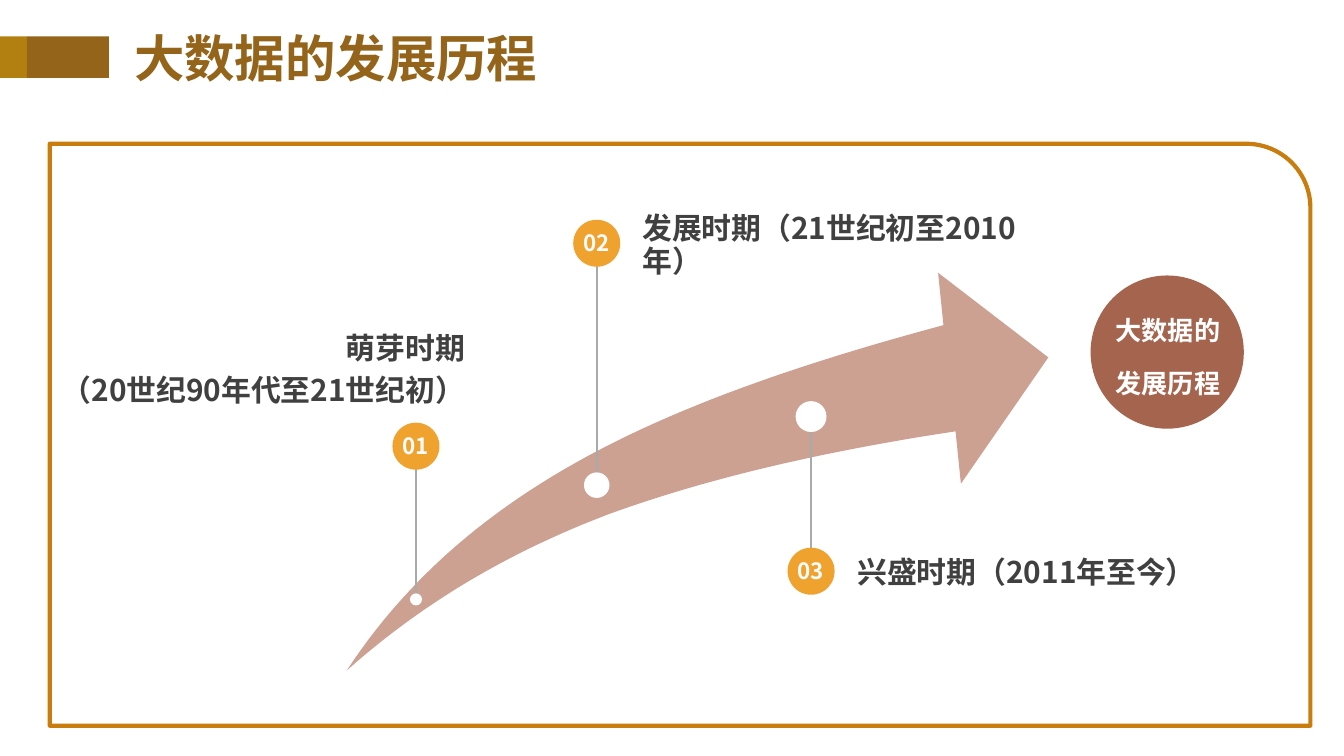
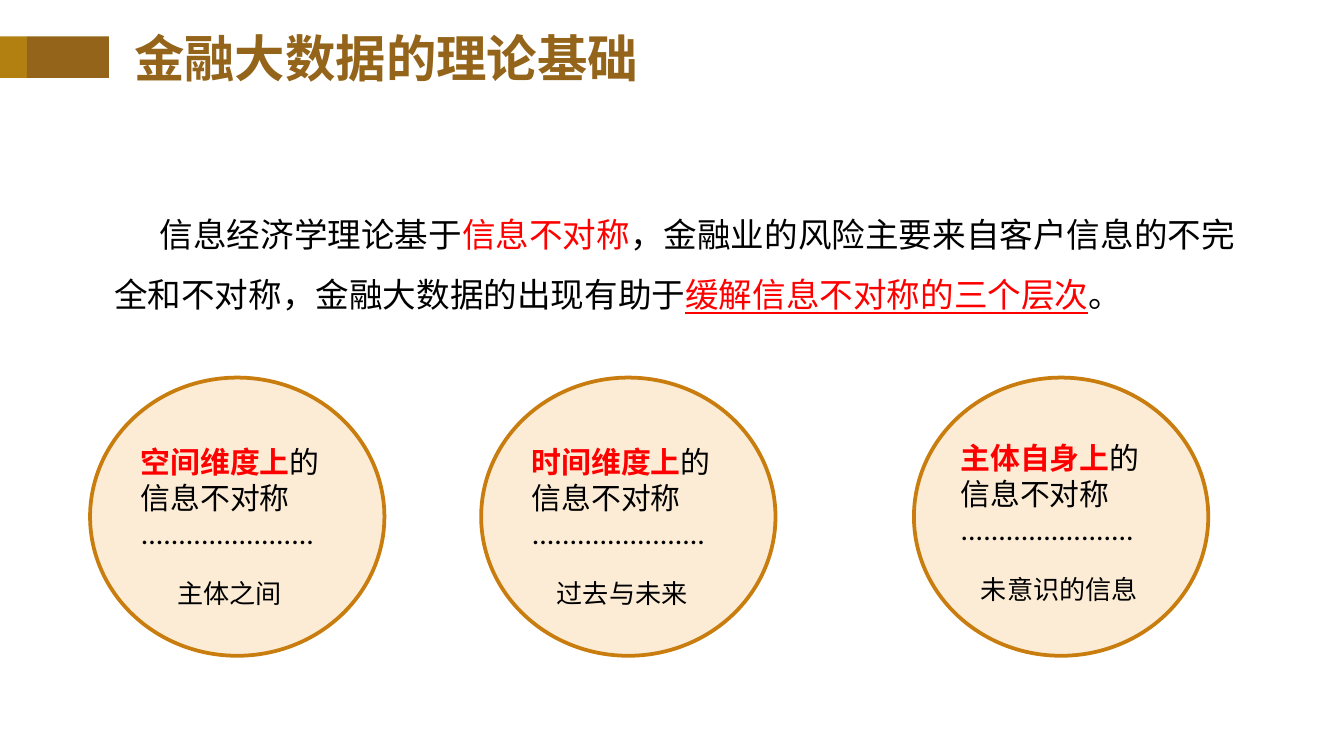
from dataclasses import dataclass

from lxml import etree
from pptx import Presentation
from pptx import util as u
from pptx.dml.color import RGBColor
from pptx.enum import shapes, text
from pptx.oxml.ns import qn


@dataclass(frozen=True)
class Theme:
    cjk: str = "Noto Sans CJK SC"
    latin: str = "Calibri"
    gold: str = "B28011"
    brown: str = "936419"
    frame: str = "C87D0E"
    arrow: str = "CCA192"
    rust: str = "A5644E"
    badge: str = "F0A22E"
    cream: str = "FCECD5"
    pin: str = "A6AAA9"
    ink: str = "404040"
    number: str = "FCFCFC"
    white: str = "FFFFFF"
    black: str = "000000"
    red: str = "FF0000"
    title_size: int = 27
    body_size: int = 18
    caption_size: int = 16
    goal_size: int = 14
    number_size: int = 12
    single: float = 1.2


@dataclass(frozen=True)
class Box:
    col: float
    row: float
    cols: float
    rows: float


@dataclass(frozen=True)
class Run:
    words: str
    size: float
    color: str
    bold: bool = False
    underline: bool = False
    font: str = Theme.cjk


@dataclass(frozen=True)
class Para:
    runs: tuple[Run, ...]
    pitch: float | None = None
    before: float = 0
    align: text.PP_ALIGN = text.PP_ALIGN.LEFT
    margin: float = 0
    indent: float = 0


@dataclass(frozen=True)
class Milestone:
    number: str
    col: float
    badge_row: float
    dot_row: float
    dot: float
    caption: tuple[str, ...]
    caption_box: Box
    align: text.PP_ALIGN = text.PP_ALIGN.LEFT
    spacing: float = 0.9


@dataclass(frozen=True)
class Layer:
    col: float
    text_col: float
    text_row: float
    dimension: str
    scope: str
    scope_margin: float


THEME = Theme()
WIDTH, HEIGHT = u.Inches(10), u.Inches(5.625)
COLUMNS, ROWS = 100, 56.25
BADGE = 3.5
DOTS = "." * 23
SHAPE = shapes.MSO_SHAPE

MILESTONES = (
    Milestone("01", 30.95, 33.2, 44.6, 0.9,
              ("萌芽时期", "（20世纪90年代至21世纪初）"),
              Box(1.1, 25.7, 33.5, 3.4), text.PP_ALIGN.RIGHT, 1),
    Milestone("02", 44.4, 18.1, 36.1, 1.9,
              ("发展时期（21世纪初至2010年）",), Box(47.8, 16.6, 32, 3.4)),
    Milestone("03", 60.35, 42.5, 31, 2.3,
              ("兴盛时期（2011年至今）",), Box(63.8, 41, 25.5, 3.4)),
)

LAYERS = (
    Layer(6.7, 9.5, 32.5, "空间维度上", "主体之间", 2.7),
    Layer(35.8, 38.6, 32.5, "时间维度上", "过去与未来", 1.85),
    Layer(68, 70.5, 32.2, "主体自身上", "未意识的信息", 1.5),
)

ARROW_START = (25.8, 49.9)
ARROW_EDGES = (
    ((30, 43.5), (35.6, 38.5), (42.9, 34.4)),
    ((50.2, 30.3), (59.4, 27.1), (70.2, 24.2)),
    ((69.8, 20.3),),
    ((78, 26.6),),
    ((71.5, 36),),
    ((71.1, 32.1),),
    ((61.2, 33.6), (52.6, 35.6), (45.2, 38.3)),
    ((37.6, 41.2), (31.3, 45), ARROW_START),
)


def across(cols: float) -> int:
    return round(WIDTH * cols / COLUMNS)


def down(rows: float) -> int:
    return round(HEIGHT * rows / ROWS)


def place(box: Box) -> tuple[int, int, int, int]:
    return across(box.col), down(box.row), across(box.cols), down(box.rows)


def disc(col: float, row: float, size: float) -> Box:
    return Box(col - size / 2, row - size / 2, size, size)


def paint(shape, fill: str | None, line: str | None = None, width: float = 0) -> None:
    shape.shadow.inherit = False
    if fill:
        shape.fill.solid()
        shape.fill.fore_color.rgb = RGBColor.from_string(fill)
    else:
        shape.fill.background()
    if line:
        shape.line.color.rgb = RGBColor.from_string(line)
        shape.line.width = u.Pt(width)
    else:
        shape.line.fill.background()


def add_shape(slide, kind, box: Box, fill: str | None,
              line: str | None = None, width: float = 0):
    shape = slide.shapes.add_shape(kind, *place(box))
    paint(shape, fill, line, width)
    return shape


def write(shape, paras: tuple[Para, ...], anchor=text.MSO_ANCHOR.MIDDLE,
          inset: bool = False) -> None:
    frame = shape.text_frame
    frame.word_wrap = True
    frame.vertical_anchor = anchor
    if not inset:
        frame.margin_left = frame.margin_right = 0
        frame.margin_top = frame.margin_bottom = 0
    for index, para in enumerate(paras):
        line = frame.add_paragraph() if index else frame.paragraphs[0]
        line.alignment = para.align
        if para.pitch:
            line.line_spacing = u.Pt(para.pitch)
        if para.before:
            line.space_before = u.Pt(para.before)
        if para.margin or para.indent:
            layout = line._p.get_or_add_pPr()
            layout.set("marL", str(across(para.margin)))
            layout.set("indent", str(across(para.indent)))
        for part in para.runs:
            run = line.add_run()
            run.text = part.words
            font = run.font
            font.name = part.font
            font.size = u.Pt(part.size)
            font.bold = part.bold
            font.underline = part.underline
            font.color.rgb = RGBColor.from_string(part.color)
            props = run._r.get_or_add_rPr()
            props.set("lang", "zh-CN")
            east = etree.Element(qn("a:ea"), typeface=THEME.cjk)
            props.find(qn("a:latin")).addnext(east)


def add_text(slide, box: Box, paras: tuple[Para, ...],
             anchor=text.MSO_ANCHOR.MIDDLE, inset: bool = False) -> None:
    write(slide.shapes.add_textbox(*place(box)), paras, anchor, inset)


def add_slide(deck, title: str):
    slide = deck.slides.add_slide(deck.slide_layouts[6])
    add_shape(slide, SHAPE.RECTANGLE, Box(-0.1, 2.7, 2.1, 3.1), THEME.gold)
    add_shape(slide, SHAPE.RECTANGLE, Box(2, 2.7, 6.1, 3.1), THEME.brown)
    heading = Run(title, THEME.title_size, THEME.brown, bold=True)
    add_text(slide, Box(9, 1.3, 41.8, 6), (Para((heading,)),), inset=True)
    return slide


def arrow_points(steps: int = 24) -> list[tuple[int, int]]:
    points, start = [], ARROW_START
    for edge in ARROW_EDGES:
        if len(edge) == 1:
            points.append(edge[0])
        else:
            for step in range(1, steps + 1):
                t = step / steps
                weights = ((1 - t) ** 3, 3 * t * (1 - t) ** 2, 3 * t * t * (1 - t), t ** 3)
                points.append(tuple(
                    sum(w * p[axis] for w, p in zip(weights, (start, *edge)))
                    for axis in (0, 1)))
        start = edge[-1]
    return [(across(col), down(row)) for col, row in points]


def add_growth_arrow(slide) -> None:
    col, row = ARROW_START
    outline = slide.shapes.build_freeform(across(col), down(row))
    outline.add_line_segments(arrow_points(), close=True)
    paint(outline.convert_to_shape(), THEME.arrow)


def add_milestone(slide, stone: Milestone) -> None:
    pin = slide.shapes.add_connector(
        shapes.MSO_CONNECTOR.STRAIGHT, across(stone.col), down(stone.dot_row),
        across(stone.col), down(stone.badge_row))
    pin.line.color.rgb = RGBColor.from_string(THEME.pin)
    pin.line.width = u.Pt(1)
    etree.SubElement(pin._element.spPr, qn("a:effectLst"))

    badge = add_shape(slide, SHAPE.OVAL, disc(stone.col, stone.badge_row, BADGE), THEME.badge)
    number = Run(stone.number, THEME.number_size, THEME.number, bold=True)
    write(badge, (Para((number,), 14, align=text.PP_ALIGN.CENTER),))
    add_shape(slide, SHAPE.OVAL, disc(stone.col, stone.dot_row, stone.dot), THEME.white)

    pitch = THEME.caption_size * THEME.single * stone.spacing
    add_text(slide, stone.caption_box, tuple(
        Para((Run(words, THEME.caption_size, THEME.ink, bold=True),), pitch,
             before=0.2 * THEME.caption_size if index else 0, align=stone.align)
        for index, words in enumerate(stone.caption)))


def add_history(deck) -> None:
    slide = add_slide(deck, "大数据的发展历程")
    frame = add_shape(slide, SHAPE.ROUND_1_RECTANGLE, Box(3.7, 10.7, 93.8, 43.3),
                      None, THEME.frame, 2.25)
    frame.adjustments[0] = 0.11
    add_growth_arrow(slide)
    for stone in MILESTONES:
        add_milestone(slide, stone)
    add_shape(slide, SHAPE.OVAL, disc(86.85, 26.2, 11.4), THEME.rust)
    goal = Run("大数据的发展历程", THEME.goal_size, THEME.white, bold=True)
    add_text(slide, Box(82.7, 24, 8.4, 3.4), (
        Para((goal,), THEME.goal_size * THEME.single * 1.7, align=text.PP_ALIGN.CENTER),))


def add_layer(slide, layer: Layer) -> None:
    add_shape(slide, SHAPE.OVAL, Box(layer.col, 28.1, 21.9, 20.7),
              THEME.cream, THEME.frame, 2)

    def plain(words: str, size: float = THEME.caption_size) -> Run:
        return Run(words, size, THEME.black, font=THEME.latin)

    dimension = Run(layer.dimension, THEME.caption_size, THEME.red, bold=True, font=THEME.latin)
    pitch = THEME.caption_size * THEME.single
    add_text(slide, Box(layer.text_col, layer.text_row, 19.3, 16.5), (
        Para((dimension, plain("的")), pitch),
        Para((plain("信息不对称"),), pitch),
        Para((plain(DOTS),), pitch),
        Para((plain(layer.scope, THEME.goal_size),), THEME.goal_size * THEME.single,
             before=THEME.number_size * THEME.single, margin=layer.scope_margin),
    ), text.MSO_ANCHOR.TOP, inset=True)


def add_theory(deck) -> None:
    slide = add_slide(deck, "金融大数据的理论基础")
    size = THEME.body_size
    theory = (
        Run("信息经济学理论基于", size, THEME.black),
        Run("信息不对称", size, THEME.red),
        Run("，金融业的风险主要来自客户信息的不完全和不对称，金融大数据的出现有助于",
            size, THEME.black),
        Run("缓解信息不对称的三个层次", size, THEME.red, underline=True),
        Run("。", size, THEME.black),
    )
    add_text(slide, Box(7.5, 13.9, 86.1, 10.1),
             (Para(theory, size * THEME.single * 1.5, indent=3.4),),
             text.MSO_ANCHOR.TOP, inset=True)
    for layer in LAYERS:
        add_layer(slide, layer)


def main() -> None:
    deck = Presentation()
    deck.slide_width, deck.slide_height = WIDTH, HEIGHT
    add_history(deck)
    add_theory(deck)
    deck.save("out.pptx")


if __name__ == "__main__":
    main()
